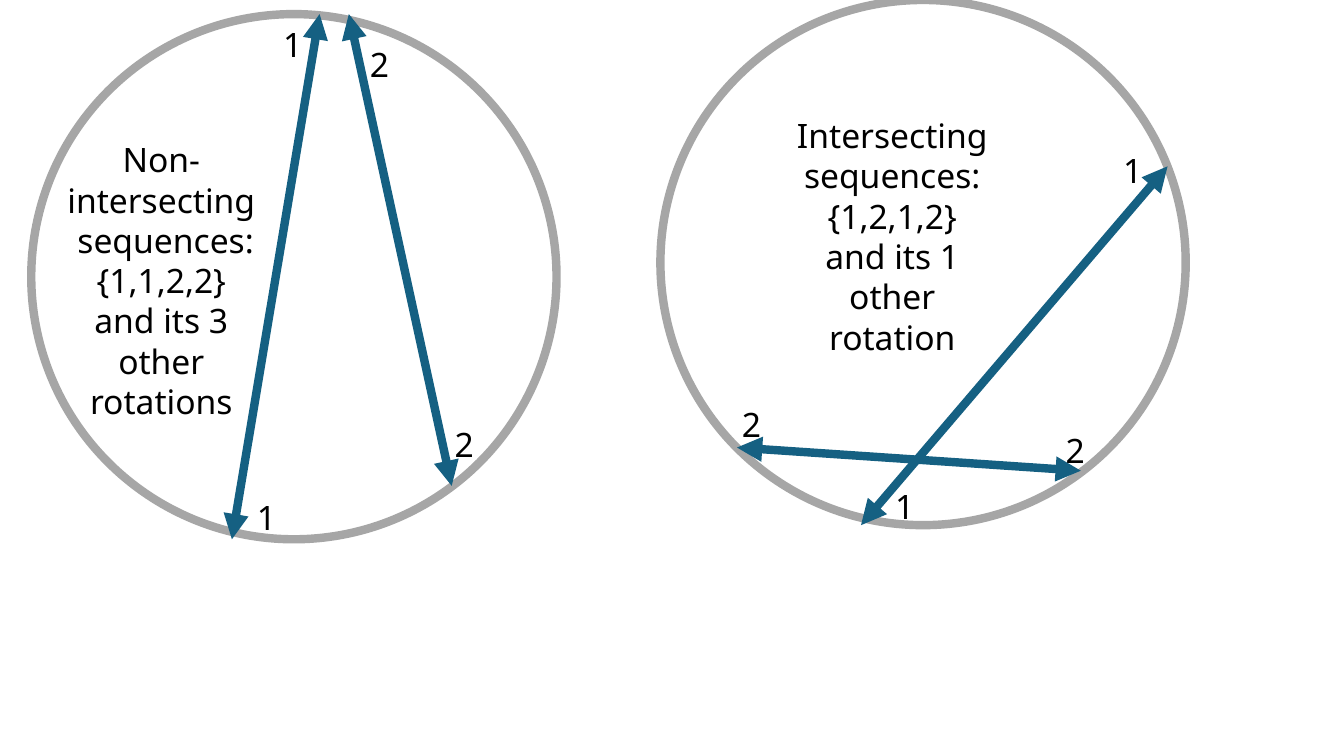
from lxml import etree
from pptx import Presentation
from pptx.dml.color import RGBColor
from pptx.enum.shapes import MSO_CONNECTOR, MSO_SHAPE
from pptx.enum.text import MSO_AUTO_SIZE, PP_ALIGN
from pptx.oxml.ns import qn
from pptx.util import Inches, Pt

GREY = RGBColor(0xA6, 0xA6, 0xA6)
BLUE = RGBColor(0x15, 0x60, 0x82)
BLACK = RGBColor(0, 0, 0)
FONT = "Noto Sans"
DIAMETER = 5.21
STROKE = Pt(6)
LABEL_SIZE = (0.36, 0.5)

# Positions inside a diagram are inches from the corner of its circle's box.
NON_INTERSECTING = {
    "corner": (0.31, 0.14),
    "chords": [((3.15, 0), (4.17, 4.68)), ((2.86, 0), (1.99, 5.21))],
    "caption": ("Non-intersecting\n sequences:\v{1,1,2,2} and its 3 other rotations",
                (0.22, 1.17), (2.14, 2.52)),
    "labels": [("1", (2.4, 0.03)), ("1", (2.14, 4.72)),
               ("2", (4.1, 4.0)), ("2", (3.26, 0.23))],
}
INTERSECTING = {
    "corner": (6.55, 0),
    "chords": [((0.76, 4.44), (4.17, 4.67)), ((5.03, 1.65), (1.99, 5.21))],
    "caption": ("Intersecting sequences:\v{1,2,1,2} and its 1 other rotation",
                (1.25, 1.07), (2.1, 2.12)),
    "labels": [("1", (4.49, 1.42)), ("1", (2.23, 4.75)),
               ("2", (3.92, 4.19)), ("2", (0.71, 3.94))],
}


def place(corner, offset):
    return [Inches(c + o) for c, o in zip(corner, offset)]


def add_circle(slide, corner):
    size = Inches(DIAMETER)
    sp = slide.shapes.add_shape(MSO_SHAPE.OVAL, *place(corner, (0, 0)), size, size)
    sp.shadow.inherit = False
    sp.fill.background()
    sp.line.color.rgb = GREY
    sp.line.width = STROKE


def add_chord(slide, corner, start, end):
    """Draw a line across the circle with an arrowhead at both ends."""
    chord = slide.shapes.add_connector(
        MSO_CONNECTOR.STRAIGHT, *place(corner, start), *place(corner, end))
    chord.line.color.rgb = BLUE
    chord.line.width = STROKE
    ln = chord.line._get_or_add_ln()
    for tag in ("a:headEnd", "a:tailEnd"):
        etree.SubElement(ln, qn(tag), type="triangle")
    etree.SubElement(chord._element.spPr, qn("a:effectLst"))


def add_text(slide, corner, text, offset, size, wrap):
    box = slide.shapes.add_textbox(*place(corner, offset), *map(Inches, size))
    tf = box.text_frame
    tf.text = text
    tf.word_wrap = wrap
    tf.auto_size = MSO_AUTO_SIZE.SHAPE_TO_FIT_TEXT
    tf.margin_top = Inches(0.07)
    for p in tf.paragraphs:
        p.alignment = PP_ALIGN.CENTER
        p.line_spacing = Pt(28.8)
        p.font.name = FONT
        p.font.size = Pt(24)
        p.font.color.rgb = BLACK


def add_diagram(slide, corner, chords, caption, labels):
    add_circle(slide, corner)
    for start, end in chords:
        add_chord(slide, corner, start, end)
    add_text(slide, corner, *caption, wrap=True)
    for text, offset in labels:
        add_text(slide, corner, text, offset, LABEL_SIZE, wrap=False)


def main():
    prs = Presentation()
    prs.slide_width, prs.slide_height = Inches(13.33), Inches(7.5)
    slide = prs.slides.add_slide(prs.slide_layouts[6])
    for diagram in (NON_INTERSECTING, INTERSECTING):
        add_diagram(slide, **diagram)
    prs.save("out.pptx")


if __name__ == "__main__":
    main()
